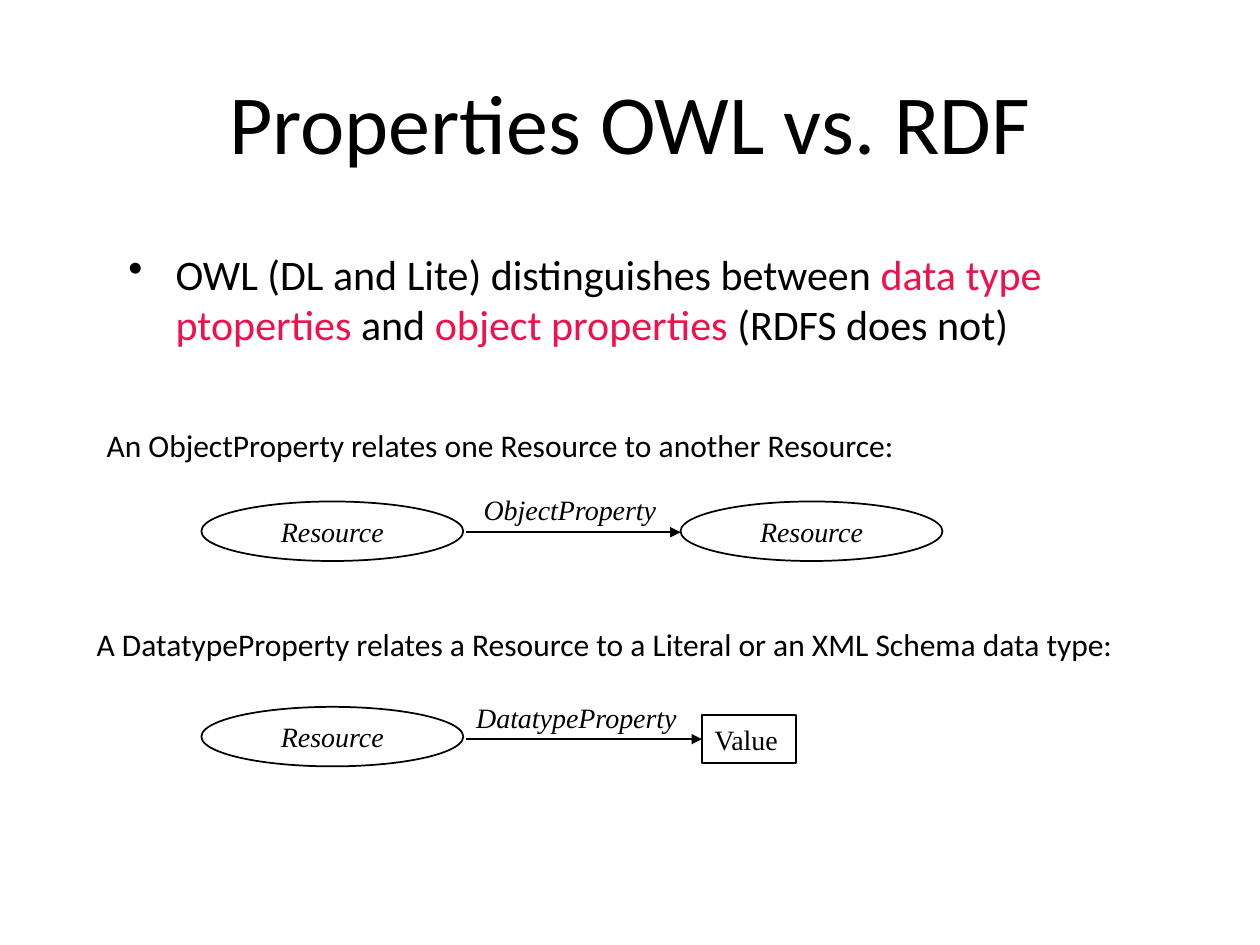
import pptx
import pptx.util
import pptx.dml.color
import pptx.enum.shapes
import pptx.enum.text
import pptx.oxml
import pptx.oxml.ns

Cm = pptx.util.Cm
Pt = pptx.util.Pt
Kind = pptx.enum.shapes.MSO_SHAPE
Align = pptx.enum.text.PP_ALIGN
Anchor = pptx.enum.text.MSO_ANCHOR

COLORS = {"ink": "000000", "paper": "FFFFFF", "accent": "F30F4B"}
SERIF = "Times New Roman"


def color(name):
    """Return the named color."""
    return pptx.dml.color.RGBColor.from_string(COLORS[name])


def write(shape, text, size=16, font="Calibri", italic=False, align=Align.LEFT,
          anchor=Anchor.TOP, wrap=True, bullet=False):
    """Fill a shape with a string or with (text, color) pairs."""
    frame = shape.text_frame
    frame.word_wrap = wrap
    frame.vertical_anchor = anchor
    para = frame.paragraphs[0]
    para.alignment = align
    if bullet:
        props = para._p.get_or_add_pPr()
        props.set("marL", str(Cm(0.95)))
        props.set("indent", str(-Cm(0.95)))
        mark = pptx.oxml.parse_xml(
            f'<a:buChar {pptx.oxml.ns.nsdecls("a")} char="•"/>')
        props.append(mark)
    for part, tint in [(text, "ink")] if isinstance(text, str) else text:
        run = para.add_run()
        run.text = part
        run.font.size = Pt(size)
        run.font.name = font
        run.font.italic = italic
        run.font.color.rgb = color(tint)


def label(slide, text, left, top, width, height, **style):
    """Add a text box."""
    box = slide.shapes.add_textbox(Cm(left), Cm(top), Cm(width), Cm(height))
    write(box, text, **style)


def node(slide, kind, text, left, top, width, height, **style):
    """Add an outlined shape with text inside."""
    shape = slide.shapes.add_shape(kind, Cm(left), Cm(top), Cm(width), Cm(height))
    shape.shadow.inherit = False
    shape.fill.solid()
    shape.fill.fore_color.rgb = color("paper")
    shape.line.color.rgb = color("ink")
    shape.line.width = Pt(1)
    write(shape, text, font=SERIF, anchor=Anchor.MIDDLE, wrap=False, **style)
    return shape


def oval(slide, left, top):
    """Add a resource ellipse."""
    return node(slide, Kind.OVAL, "Resource", left, top, 5.28, 1.2,
                italic=True, align=Align.CENTER)


def arrow(slide, left, right, y, target=None):
    """Add a level arrow, joined to the left side of a target box."""
    line = slide.shapes.add_connector(
        pptx.enum.shapes.MSO_CONNECTOR.STRAIGHT, Cm(left), Cm(y), Cm(right), Cm(y))
    if target is not None:
        line.end_connect(target, 1)
    line.line.color.rgb = color("ink")
    line.line.width = Pt(1)
    space = pptx.oxml.ns.nsdecls("a")
    line.line._get_or_add_ln().append(
        pptx.oxml.parse_xml(f'<a:tailEnd {space} type="triangle"/>'))
    line._element.spPr.append(pptx.oxml.parse_xml(f"<a:effectLst {space}/>"))


def main():
    """Build the slide and save it."""
    deck = pptx.Presentation()
    deck.slide_width, deck.slide_height = Cm(25.4), Cm(19.05)
    slide = deck.slides.add_slide(deck.slide_layouts[6])

    label(slide, "Properties OWL vs. RDF", 1.9, 0.85, 21.6, 3.18,
          size=48, align=Align.CENTER, anchor=Anchor.MIDDLE)
    label(slide, [("OWL (DL and Lite) distinguishes between ", "ink"),
                  ("data type ptoperties", "accent"), (" and ", "ink"),
                  ("object properties", "accent"), (" (RDFS does not)", "ink")],
          2.34, 4.88, 21.6, 11.43, size=24, bullet=True)

    label(slide, "An ObjectProperty relates one Resource to another Resource:",
          1.9, 8.46, 18.36, 1.02, size=18)
    oval(slide, 4.06, 10.11)
    oval(slide, 13.72, 10.11)
    arrow(slide, 9.4, 13.72, 10.73)
    label(slide, "ObjectProperty", 9.5, 9.8, 4.04, 0.94, font=SERIF, italic=True)

    label(slide, "A DatatypeProperty relates a Resource to a Literal or an XML Schema data type:",
          1.7, 12.47, 23.6, 1.02, size=18)
    oval(slide, 4.06, 14.25)
    value = node(slide, Kind.RECTANGLE, "Value", 14.15, 14.42, 1.9, 0.96)
    arrow(slide, 9.4, 14.15, 14.9, value)
    label(slide, "DatatypeProperty", 9.35, 14, 4.6, 0.94, font=SERIF, italic=True)

    deck.save("out.pptx")


if __name__ == "__main__":
    main()
